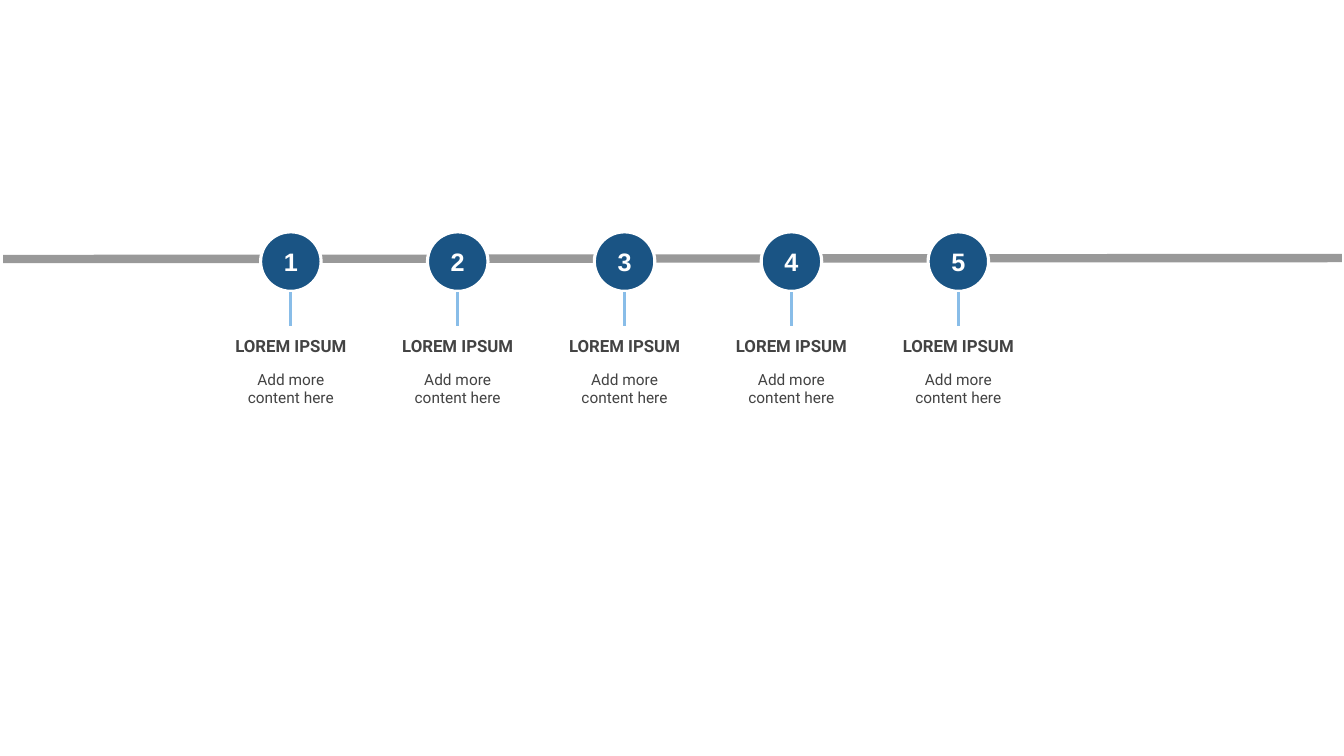
from lxml.etree import SubElement
from pptx import Presentation
from pptx.dml.color import RGBColor
from pptx.enum.shapes import MSO_CONNECTOR, MSO_SHAPE
from pptx.enum.text import MSO_ANCHOR, PP_ALIGN
from pptx.oxml.ns import qn
from pptx.util import Inches, Pt

COLORS = {"axis": "999999", "disc": "1A5484", "stem": "89BDE8",
          "text": "434343", "white": "FFFFFF"}
STEPS = [("LOREM IPSUM", "Add more content here")] * 5
WIDTH = 1.37  # width of one step


def color(name):
    return RGBColor.from_string(COLORS[name])


def add_line(slide, start, end, name, weight):
    ends = [Inches(n) for n in (*start, *end)]
    line = slide.shapes.add_connector(MSO_CONNECTOR.STRAIGHT, *ends)
    line.line.color.rgb = color(name)
    line.line.width = Pt(weight)
    SubElement(line._element.spPr, qn("a:effectLst"))


def set_frame(frame, anchor):
    frame.word_wrap = True
    frame.vertical_anchor = anchor
    frame.margin_left = frame.margin_right = Inches(0.1)
    frame.margin_top = frame.margin_bottom = Inches(0.1)


def style(para, face, size, name, bold):
    para.alignment = PP_ALIGN.CENTER
    for run in para.runs:
        run.font.name = face
        run.font.size = Pt(size)
        run.font.bold = bold
        run.font.color.rgb = color(name)


def add_step(slide, left, top, number, title, detail):
    mid = left + WIDTH / 2

    # Numbered disc
    disc = slide.shapes.add_shape(MSO_SHAPE.OVAL, Inches(mid - 0.3), Inches(top),
                                  Inches(0.6), Inches(0.59))
    disc.shadow.inherit = False
    disc.fill.solid()
    disc.fill.fore_color.rgb = color("disc")
    disc.line.color.rgb = color("white")
    disc.line.width = Pt(2.25)
    set_frame(disc.text_frame, MSO_ANCHOR.MIDDLE)
    disc.text_frame.text = str(number)
    style(disc.text_frame.paragraphs[0], "Arial", 18, "white", True)

    # Stem down to the text
    add_line(slide, (mid, top + 0.6), (mid, top + 0.93), "stem", 2.25)

    # Heading and detail
    box = slide.shapes.add_textbox(Inches(left), Inches(top + 0.93),
                                   Inches(WIDTH), Inches(1.44))
    frame = box.text_frame
    set_frame(frame, MSO_ANCHOR.TOP)
    frame.text = title
    style(frame.paragraphs[0], "Roboto", 12, "text", True)
    para = frame.add_paragraph()
    para.text = detail
    para.space_before = Pt(10)
    style(para, "Roboto", 11, "text", False)


def add_timeline(slide, left, top, right):
    # Axis behind the steps
    add_line(slide, (0.03, top + 0.27), (13.31, top + 0.26), "axis", 6)

    # Evenly spaced steps
    pitch = (right - left - WIDTH) / (len(STEPS) - 1)
    for i, (title, detail) in enumerate(STEPS):
        add_step(slide, left + i * pitch, top, i + 1, title, detail)


def main():
    deck = Presentation()
    deck.slide_width = Inches(13.33)
    deck.slide_height = Inches(7.5)
    slide = deck.slides.add_slide(deck.slide_layouts[6])
    slide.background.fill.solid()
    slide.background.fill.fore_color.rgb = color("white")
    add_timeline(slide, 2.2, 2.3, 10.19)
    deck.save("out.pptx")


if __name__ == "__main__":
    main()
